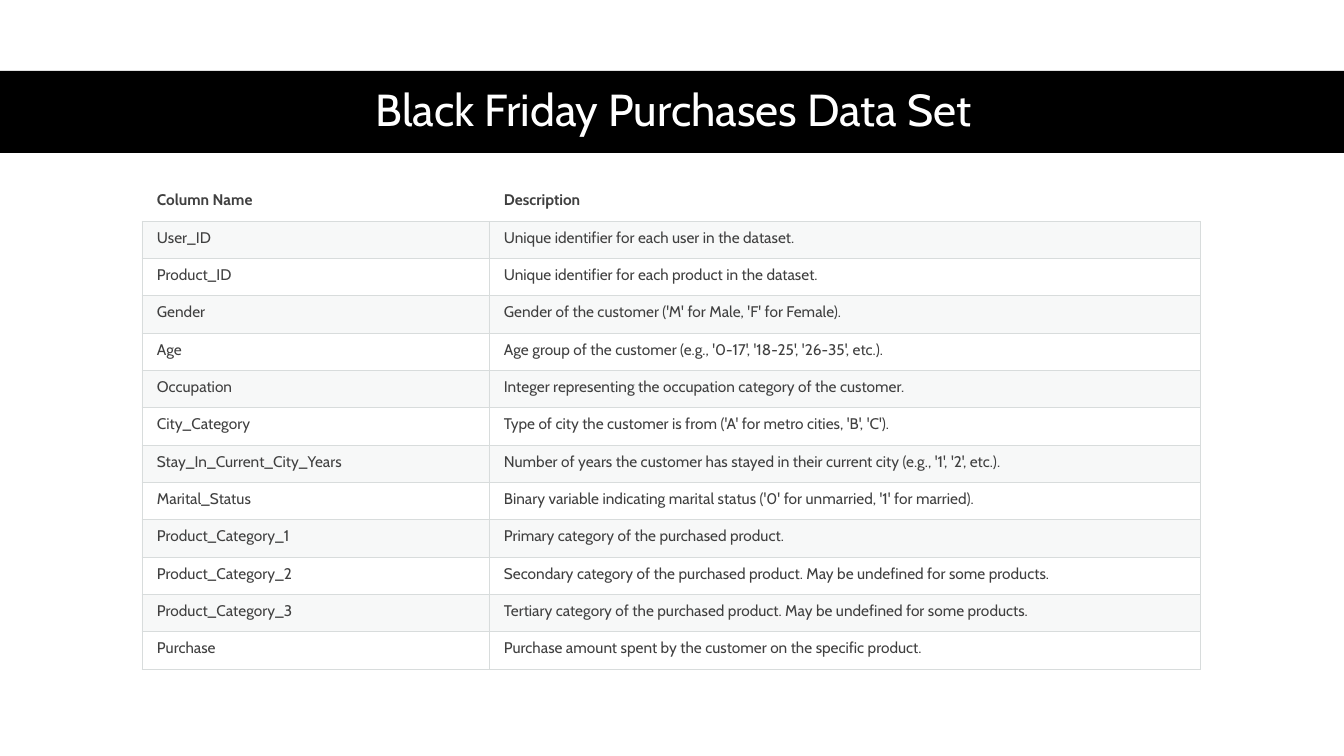
from typing import NamedTuple

from lxml.etree import SubElement
from pptx import Presentation
from pptx.dml.color import RGBColor
from pptx.enum.shapes import MSO_SHAPE
from pptx.enum.text import MSO_ANCHOR, PP_ALIGN
from pptx.oxml.ns import qn
from pptx.slide import Slide
from pptx.table import Table, _Cell
from pptx.text.text import _Paragraph
from pptx.util import Emu, Pt

SLIDE_WIDTH, SLIDE_HEIGHT = 1344, 756
EMU_PER_PX = 12192000 / SLIDE_WIDTH

BLACK = RGBColor(0x00, 0x00, 0x00)
WHITE = RGBColor(0xFF, 0xFF, 0xFF)
TEXT_GRAY = RGBColor(0x40, 0x40, 0x40)
BORDER_GRAY = RGBColor(0xD8, 0xDC, 0xDC)
STRIPE_GRAY = RGBColor(0xD8, 0xDE, 0xDC)

FONT = "Cabin"
STRIPE_OPACITY = 20
BORDER_WIDTH = Pt(0.75)
TABLE_TOP, TABLE_LEFT, TABLE_HEIGHT = 184, 142, 485
COLUMN_WIDTHS = (347, 712)
CELL_LEFT_INSET, CELL_INSET = 15, 7


class Field(NamedTuple):
    name: str
    description: str


HEADER = Field("Column Name", "Description")
FIELDS = [
    Field("User_ID", "Unique identifier for each user in the dataset."),
    Field("Product_ID", "Unique identifier for each product in the dataset."),
    Field("Gender", "Gender of the customer ('M' for Male, 'F' for Female)."),
    Field("Age", "Age group of the customer (e.g., '0-17', '18-25', '26-35', etc.)."),
    Field("Occupation", "Integer representing the occupation category of the customer."),
    Field("City_Category", "Type of city the customer is from ('A' for metro cities, 'B', 'C')."),
    Field("Stay_In_Current_City_Years",
          "Number of years the customer has stayed in their current city (e.g., '1', '2', etc.)."),
    Field("Marital_Status",
          "Binary variable indicating marital status ('0' for unmarried, '1' for married)."),
    Field("Product_Category_1", "Primary category of the purchased product."),
    Field("Product_Category_2",
          "Secondary category of the purchased product. May be undefined for some products."),
    Field("Product_Category_3",
          "Tertiary category of the purchased product. May be undefined for some products."),
    Field("Purchase", "Purchase amount spent by the customer on the specific product."),
]


def px(length: float) -> Emu:
    return Emu(round(length * EMU_PER_PX))


def style_paragraph(paragraph: _Paragraph, size: int, color: RGBColor, bold: bool = False) -> None:
    font = paragraph.font
    font.name = FONT
    font.size = Pt(size)
    font.bold = bold
    font.color.rgb = color


def add_title_band(slide: Slide) -> None:
    band = slide.shapes.add_shape(MSO_SHAPE.RECTANGLE, 0, px(71), px(SLIDE_WIDTH), px(82))
    band.shadow.inherit = False
    band.fill.solid()
    band.fill.fore_color.rgb = BLACK
    band.line.fill.background()


def add_title(slide: Slide) -> None:
    title = slide.shapes.add_textbox(px(61), px(71), px(1236), px(82))
    frame = title.text_frame
    frame.word_wrap = True
    frame.vertical_anchor = MSO_ANCHOR.MIDDLE
    frame.margin_right = px(20)
    paragraph = frame.paragraphs[0]
    paragraph.text = "Black Friday Purchases Data Set"
    paragraph.alignment = PP_ALIGN.CENTER
    paragraph.line_spacing = 0.9
    style_paragraph(paragraph, 32, WHITE)


def add_borders(cell: _Cell, sides: str) -> None:
    """Draw the sides given as letters, in the order L, R, T, B."""
    properties = cell._tc.get_or_add_tcPr()
    for side in sides:
        line = SubElement(properties, qn(f"a:ln{side}"), w=str(BORDER_WIDTH))
        fill = SubElement(line, qn("a:solidFill"))
        SubElement(fill, qn("a:srgbClr"), val=str(BORDER_GRAY))


def fill_stripe(cell: _Cell) -> None:
    cell.fill.solid()
    cell.fill.fore_color.rgb = STRIPE_GRAY
    color = next(cell._tc.tcPr.find(qn("a:solidFill")).iter(qn("a:srgbClr")))
    SubElement(color, qn("a:alpha"), val=str(STRIPE_OPACITY * 1000))


def fill_row(table: Table, row: int, field: Field) -> None:
    is_header = row == 0
    for column, text in enumerate(field):
        cell = table.cell(row, column)
        cell.margin_left = px(CELL_LEFT_INSET)
        cell.margin_right = cell.margin_top = cell.margin_bottom = px(CELL_INSET)
        paragraph = cell.text_frame.paragraphs[0]
        paragraph.text = text
        style_paragraph(paragraph, 11, TEXT_GRAY, bold=is_header)
        add_borders(cell, "B" if is_header else "LRTB")
        if row % 2:
            fill_stripe(cell)
        else:
            cell.fill.background()


def add_field_table(slide: Slide) -> None:
    rows = [HEADER, *FIELDS]
    table = slide.shapes.add_table(
        len(rows), len(COLUMN_WIDTHS), px(TABLE_LEFT), px(TABLE_TOP),
        px(sum(COLUMN_WIDTHS)), px(TABLE_HEIGHT),
    ).table
    table.first_row = False
    table.horz_banding = False
    for column, width in zip(table.columns, COLUMN_WIDTHS):
        column.width = px(width)
    for row, field in enumerate(rows):
        table.rows[row].height = px(TABLE_HEIGHT / len(rows))
        fill_row(table, row, field)


def main() -> None:
    presentation = Presentation()
    presentation.slide_width = px(SLIDE_WIDTH)
    presentation.slide_height = px(SLIDE_HEIGHT)
    slide = presentation.slides.add_slide(presentation.slide_layouts[6])
    add_title_band(slide)
    add_title(slide)
    add_field_table(slide)
    presentation.save("out.pptx")


if __name__ == "__main__":
    main()
